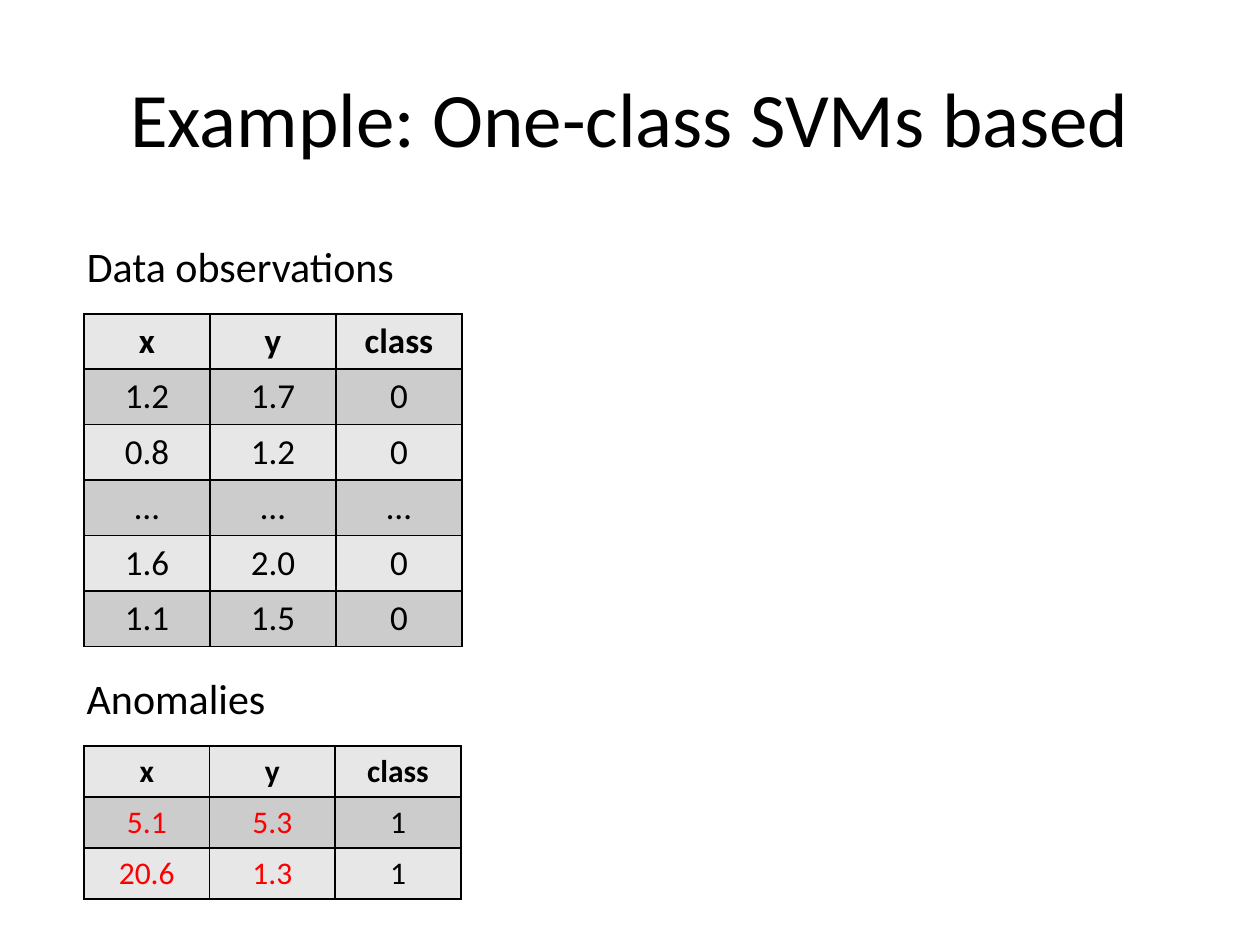
from dataclasses import dataclass

from lxml import etree
from pptx import Presentation
from pptx.dml.color import RGBColor
from pptx.enum.text import MSO_ANCHOR, MSO_AUTO_SIZE, PP_ALIGN
from pptx.oxml.ns import qn
from pptx.util import Pt

MIDDLE = MSO_ANCHOR.MIDDLE
CENTER, LEFT = PP_ALIGN.CENTER, PP_ALIGN.LEFT
GROW = MSO_AUTO_SIZE.SHAPE_TO_FIT_TEXT
BLACK, RED = "000000", "FF0000"
BANDS = ("E7E7E7", "CCCCCC")
HEAD = ("x", "y", "class")
EDGE = 48


@dataclass
class Label:
    text: str
    top: float
    width: float


@dataclass
class Grid:
    rows: list[tuple[str, ...]]
    top: float
    col: float
    row: float
    size: float
    tint: str


def paint(item, color: str) -> None:
    """Give a solid fill in a hex colour."""
    item.fill.solid()
    item.fill.fore_color.rgb = RGBColor.from_string(color)


def write(frame, text: str, size: float, color: str = BLACK,
          bold: bool = False, align=CENTER) -> None:
    """Put one formatted line in a text frame."""
    para = frame.paragraphs[0]
    para.alignment = align
    run = para.add_run()
    run.text = text
    form = {"name": "Calibri", "size": Pt(size), "bold": bold}
    for key, value in form.items():
        setattr(run.font, key, value)
    paint(run.font, color)


def frame_cell(cell) -> None:
    """Draw thin black borders on all four sides."""
    props = cell._tc.get_or_add_tcPr()
    for side in ("lnL", "lnR", "lnT", "lnB"):
        line = etree.SubElement(props, qn(f"a:{side}"), w=str(Pt(1)))
        fill = etree.SubElement(line, qn("a:solidFill"))
        etree.SubElement(fill, qn("a:srgbClr"), val=BLACK)


def add_grid(slide, grid: Grid) -> None:
    """Draw a banded table with a bold head row."""
    rows = [HEAD, *grid.rows]
    count = len(HEAD)
    table = slide.shapes.add_table(
        len(rows), count, Pt(EDGE), Pt(grid.top),
        Pt(grid.col * count), Pt(grid.row * len(rows))).table
    for col in table.columns:
        col.width = Pt(grid.col)
    for i, row in enumerate(rows):
        table.rows[i].height = Pt(grid.row)
        for j, text in enumerate(row):
            cell = table.cell(i, j)
            cell.vertical_anchor = MIDDLE
            frame_cell(cell)
            paint(cell, BANDS[i % 2])
            value = i > 0 and j < count - 1
            write(cell.text_frame, text, grid.size,
                  grid.tint if value else BLACK, i == 0)


def add_label(slide, label: Label) -> None:
    """Place a caption above a table."""
    box = slide.shapes.add_textbox(
        Pt(42.5), Pt(label.top), Pt(label.width), Pt(36))
    frame = box.text_frame
    frame.word_wrap = False
    frame.auto_size = GROW
    write(frame, label.text, 24, align=LEFT)


deck = Presentation()
deck.slide_width, deck.slide_height = Pt(720), Pt(540)
slide = deck.slides.add_slide(deck.slide_layouts[5])

# Title
title = slide.shapes.title
place = {"left": 36, "top": 21.6, "width": 648, "height": 90}
for key, value in place.items():
    setattr(title, key, Pt(value))
title.text_frame.vertical_anchor = MIDDLE
write(title.text_frame, "Example: One-class SVMs based", 44)

# Captions
for label in (Label("Data observations", 134, 193),
              Label("Anomalies", 381, 117.4)):
    add_label(slide, label)

# Tables
data = [("1.2", "1.7", "0"), ("0.8", "1.2", "0"), ("…", "…", "…"),
        ("1.6", "2.0", "0"), ("1.1", "1.5", "0")]
odd = [("5.1", "5.3", "1"), ("20.6", "1.3", "1")]
for grid in (Grid(data, 179.3, 72, 31.7, 20, BLACK),
             Grid(odd, 426.2, 71.8, 29.2, 18, RED)):
    add_grid(slide, grid)

deck.save("out.pptx")
